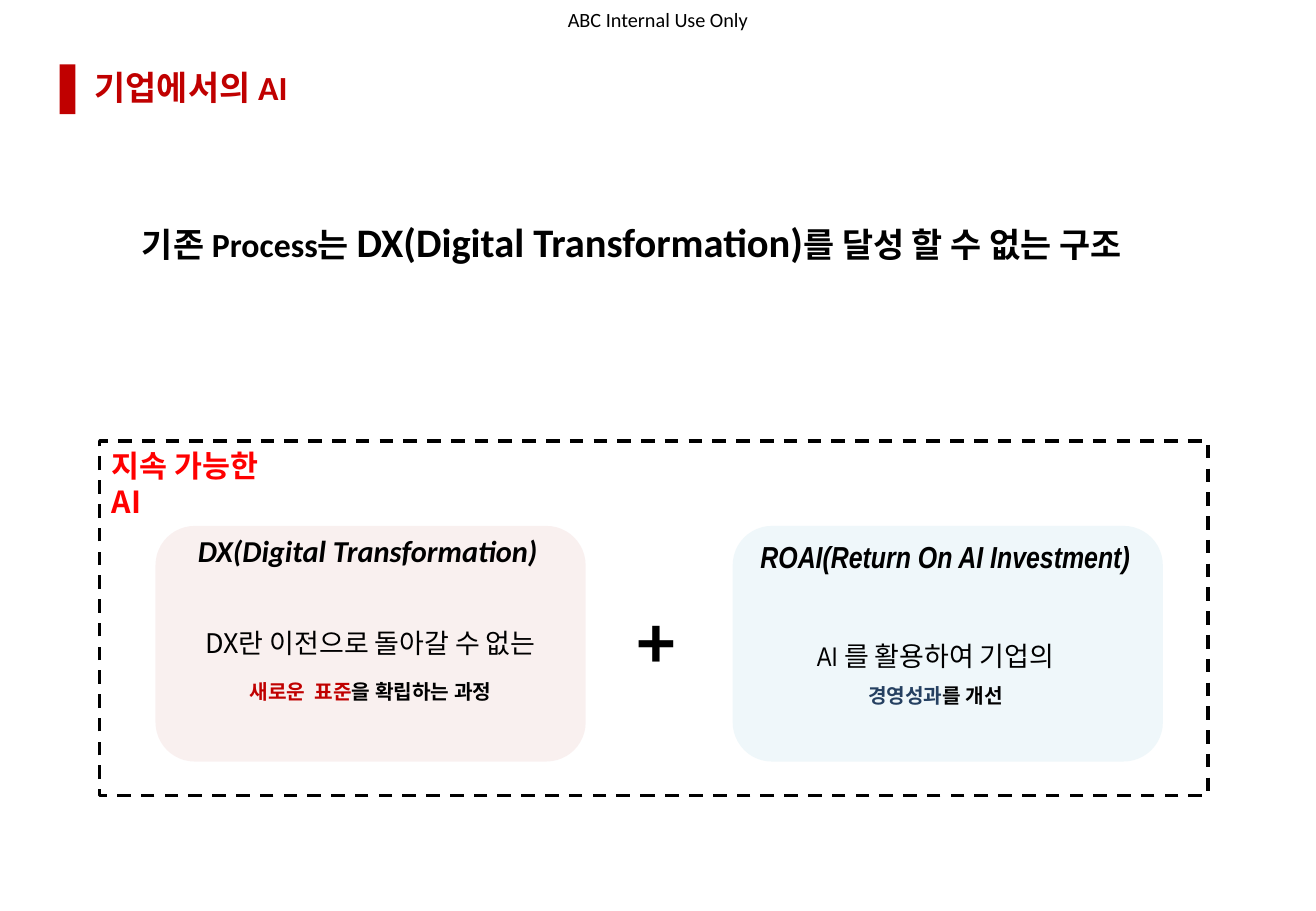
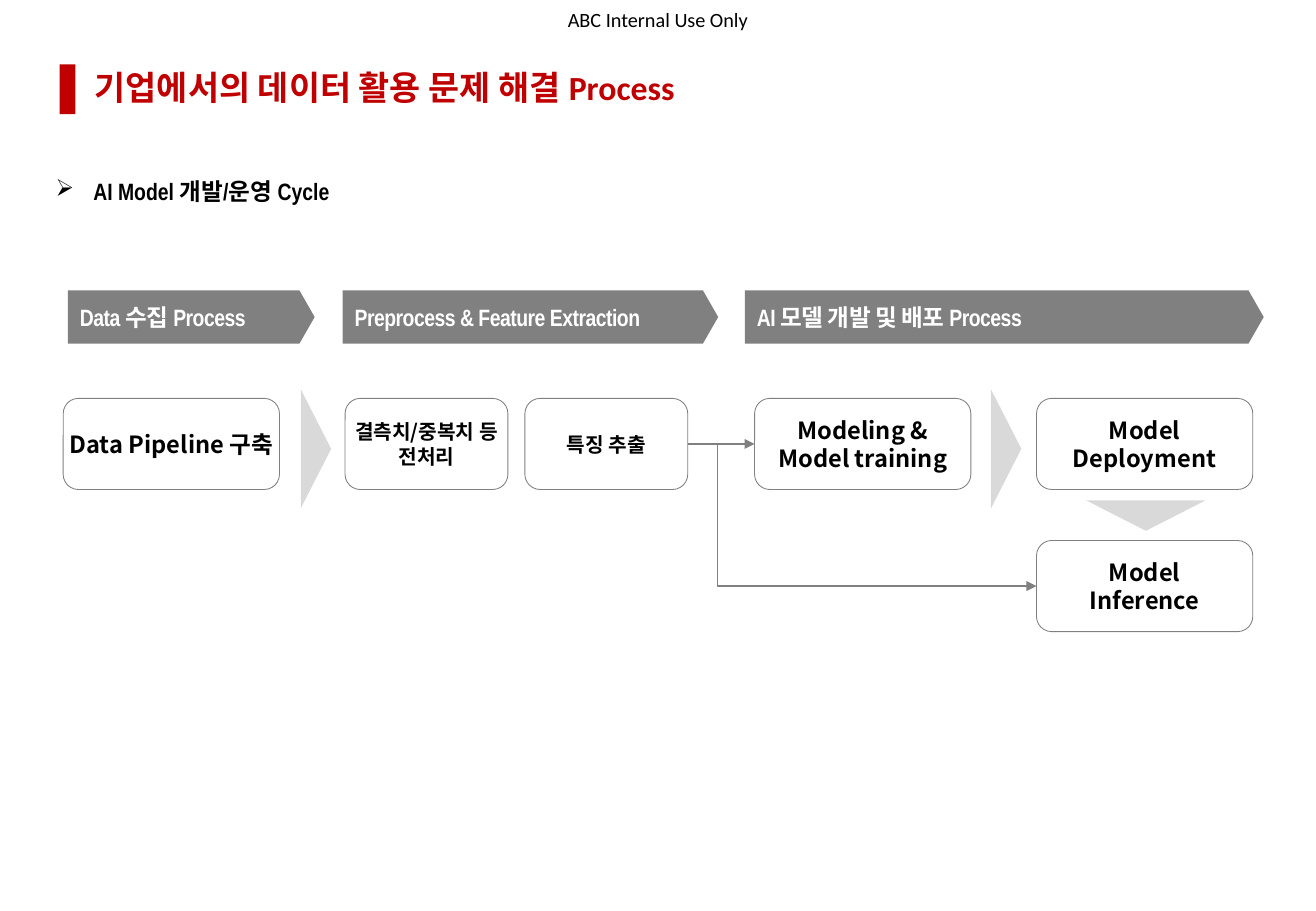
from lxml import etree
from pptx import Presentation
from pptx.dml.color import RGBColor
from pptx.enum.dml import MSO_LINE
from pptx.enum.shapes import MSO_CONNECTOR, MSO_SHAPE
from pptx.enum.text import MSO_ANCHOR, MSO_AUTO_SIZE, PP_ALIGN
from pptx.oxml.ns import qn
from pptx.util import Inches, Pt

RECT, ROUND = MSO_SHAPE.RECTANGLE, MSO_SHAPE.ROUNDED_RECTANGLE
ARROW, TRI = MSO_SHAPE.PENTAGON, MSO_SHAPE.ISOSCELES_TRIANGLE
STRAIGHT, ELBOW = MSO_CONNECTOR.STRAIGHT, MSO_CONNECTOR.ELBOW
LEFT, CENTER = PP_ALIGN.LEFT, PP_ALIGN.CENTER
TOP, MIDDLE = MSO_ANCHOR.TOP, MSO_ANCHOR.MIDDLE
DASH, NO_FIT = MSO_LINE.DASH, MSO_AUTO_SIZE.NONE

COLORS = {
    "black": "000000", "white": "FFFFFF", "brand": "C00000", "red": "FF0000",
    "navy": "254061", "gray": "808080", "light": "D9D9D9",
    "pink": "F2DCDB", "blue": "DBEEF4",
}
CALIBRI, NARROW, NOTO = "Calibri", "Arial Narrow", "Noto Sans CJK KR"


def color(name):
    return RGBColor.from_string(COLORS[name])


def run(text, size, face=CALIBRI, tint="black", bold=True, slant=False):
    return text, size, face, tint, bold, slant


# Text: each line is a list of runs and becomes one paragraph
def write(frame, lines, align=LEFT, anchor=TOP, wrap=True, inset=None):
    frame.word_wrap = wrap
    frame.auto_size = NO_FIT
    frame.vertical_anchor = anchor
    if inset is not None:
        frame.margin_left = frame.margin_right = Inches(inset)
        frame.margin_top = frame.margin_bottom = Inches(inset)
    for i, line in enumerate(lines):
        para = frame.add_paragraph() if i else frame.paragraphs[0]
        para.alignment = align
        for text, size, face, tint, bold, slant in line:
            part = para.add_run()
            part.text = text
            font = part.font
            font.size, font.name = Pt(size), face
            font.bold, font.italic = bold, slant
            font.color.rgb = color(tint)
            east = etree.SubElement(font._element, qn("a:ea"))
            east.set("typeface", NOTO)
    return frame


def label(slide, box, lines, **style):
    text = slide.shapes.add_textbox(*map(Inches, box))
    return write(text.text_frame, lines, **style)


def shape(slide, kind, box, fill=None, line=None, width=0.5, alpha=None):
    item = slide.shapes.add_shape(kind, *map(Inches, box))
    item.shadow.inherit = False
    if fill:
        item.fill.solid()
        item.fill.fore_color.rgb = color(fill)
    else:
        item.fill.background()
    if alpha:
        tint = item.fill._xPr.find(qn("a:solidFill"))[0]
        etree.SubElement(tint, qn("a:alpha")).set("val", str(alpha * 1000))
    if line:
        item.line.color.rgb = color(line)
        item.line.width = Pt(width)
    else:
        item.line.fill.background()
    return item


# Shared frame: notice, title and red bar
def base(deck, title):
    slide = deck.slides.add_slide(deck.slide_layouts[5])
    label(slide, (4.5, 0, 1.83, 0.32),
          [[run("ABC Internal Use Only", 12, bold=False)]],
          align=CENTER, anchor=MIDDLE, inset=0)
    head = slide.shapes.title
    head.left, head.top = Inches(0.68), Inches(0.58)
    head.width, head.height = Inches(9.24), Inches(0.31)
    frame = write(head.text_frame, [[run(title, 20, tint="brand")]],
                  anchor=MIDDLE)
    frame.paragraphs[0].line_spacing = 0.9
    frame.paragraphs[0].space_before = Pt(9.4)
    shape(slide, RECT, (0.49, 0.53, 0.13, 0.41), "brand")
    return slide


# Tinted card with a heading and a body; offsets are from its corner
def card(slide, x, y, fill, alpha, head, head_box, body, body_box, gap):
    shape(slide, ROUND, (x, y, 3.54, 1.94), fill, alpha=alpha)
    for lines, (dx, dy, w, h), align, wrap in (
            ([[head]], head_box, LEFT, False), (body, body_box, CENTER, True)):
        frame = label(slide, (x + dx, y + dy, w, h), lines,
                      align=align, wrap=wrap)
    for para in frame.paragraphs:
        para.line_spacing = gap


# Dashed panel with two cards
def panel(slide, x, y, w, h):
    edge = shape(slide, RECT, (x, y, w, h), line="black", width=2)
    edge.line.dash_style = DASH
    label(slide, (x, y, 1.67, 0.4), [[run("지속 가능한 AI", 18, NOTO, "red")]])
    card(slide, x + 0.46, y + 0.7, "pink", 42,
         run("DX(Digital Transformation)", 18, slant=True),
         (0.25, 0, 3.05, 0.4),
         [[run("DX란 이전으로 돌아갈 수 없는", 16, NOTO, bold=False)],
          [run("새로운", 12, NARROW, "brand"),
           run(" ", 24, NOTO, "brand", False),
           run("표준", 12, NARROW, "brand"),
           run("을 확립하는 과정", 12, NARROW)]],
         (0.1, 0.78, 3.34, 0.77), 1.0)
    card(slide, x + 5.21, y + 0.7, "blue", 44,
         run("ROAI(Return On AI Investment)", 18, NARROW, slant=True),
         (0.13, 0.05, 3.27, 0.4),
         [[run("AI 를 활용하여 기업의", 16, NARROW, bold=False)],
          [run("경영성과", 12, NARROW, "navy"), run("를 개선", 12, NARROW)]],
         (0, 0.75, 3.34, 0.81), 1.5)
    label(slide, (x + 4.32, y + 1.28, 0.54, 0.77),
          [[run("+", 40, NOTO)]], wrap=False)


def vision(deck):
    slide = base(deck, "기업에서의 AI")
    label(slide, (1.07, 1.74, 8.69, 0.5),
          [[run("기존 Process는 ", 20), run("DX(Digital Transformation)", 24),
            run("를 달성 할 수 없는 구조", 20)]], wrap=False)
    panel(slide, 0.82, 3.63, 9.12, 2.92)


# Row of stage banners
def stages(slide, y, h):
    for x, w, text in ((0.56, 2.03, "Data 수집 Process"),
                       (2.82, 3.09, "Preprocess & Feature Extraction"),
                       (6.13, 4.27, "AI 모델 개발 및 배포 Process")):
        item = shape(slide, ARROW, (x, y, w, h), "gray")
        item.adjustments[0] = 0.286
        frame = write(item.text_frame, [[run(text, 14, NARROW, "white")]],
                      anchor=MIDDLE)
        frame.paragraphs[0].runs[0].font._element.set("spc", "-30")


def step(slide, x, y, w, size, lines):
    item = shape(slide, ROUND, (x, y, w, 0.75), line="gray")
    write(item.text_frame, [[run(text, size, NOTO)] for text in lines],
          align=CENTER, anchor=MIDDLE, inset=0)
    return item


def link(slide, kind, start, end):
    line = slide.shapes.add_connector(kind, 0, 0, 0, 0)
    line.begin_connect(start, 3)
    line.end_connect(end, 1)
    line.line.color.rgb = color("gray")
    line.line.width = Pt(0.75)
    etree.SubElement(line.line._get_or_add_ln(),
                     qn("a:tailEnd")).set("type", "triangle")
    props = line._element.spPr
    etree.SubElement(props, qn("a:effectLst"))
    return props.find(qn("a:prstGeom"))


# Steps, wedges and links below the banners
def flow(slide, y):
    wide, slim, drop = 1.78, 1.34, 1.17
    step(slide, 0.52, y, wide, 14, ["Data Pipeline 구축"])
    step(slide, 2.84, y, slim, 12, ["결측치/중복치 등", "전처리"])
    pick = step(slide, 4.32, y, slim, 12, ["특징 추출"])
    train = step(slide, 6.21, y, wide, 14, ["Modeling &", "Model training"])
    step(slide, 8.53, y, wide, 14, ["Model", "Deployment"])
    infer = step(slide, 8.53, y + drop, wide, 14, ["Model", "Inference"])
    for x, dy, turn in ((2.11, 0.29, 90), (7.79, 0.29, 90), (8.94, 0.84, 180)):
        shape(slide, TRI, (x, y + dy, 0.98, 0.25), "light").rotation = turn
    link(slide, STRAIGHT, pick, train)
    bend = link(slide, ELBOW, pick, infer)
    guides = bend.find(qn("a:avLst"))
    if guides is None:
        guides = etree.SubElement(bend, qn("a:avLst"))
    guide = etree.SubElement(guides, qn("a:gd"))
    guide.set("name", "adj1")
    guide.set("fmla", "val 8600")


def process(deck):
    slide = base(deck, "기업에서의 데이터 활용 문제 해결 Process")
    frame = label(slide, (0.36, 1.41, 2.54, 0.34),
                  [[run("AI Model 개발/운영 Cycle", 14, NARROW)]])
    props = frame.paragraphs[0]._p.get_or_add_pPr()
    props.set("marL", str(Inches(0.31)))
    props.set("indent", str(Inches(-0.31)))
    etree.SubElement(props, qn("a:buChar")).set("char", "➢")
    stages(slide, 2.39, 0.44)
    flow(slide, 3.28)


def main():
    deck = Presentation()
    deck.slide_width, deck.slide_height = Inches(10.83), Inches(7.5)
    vision(deck)
    process(deck)
    deck.save("out.pptx")


if __name__ == "__main__":
    main()
